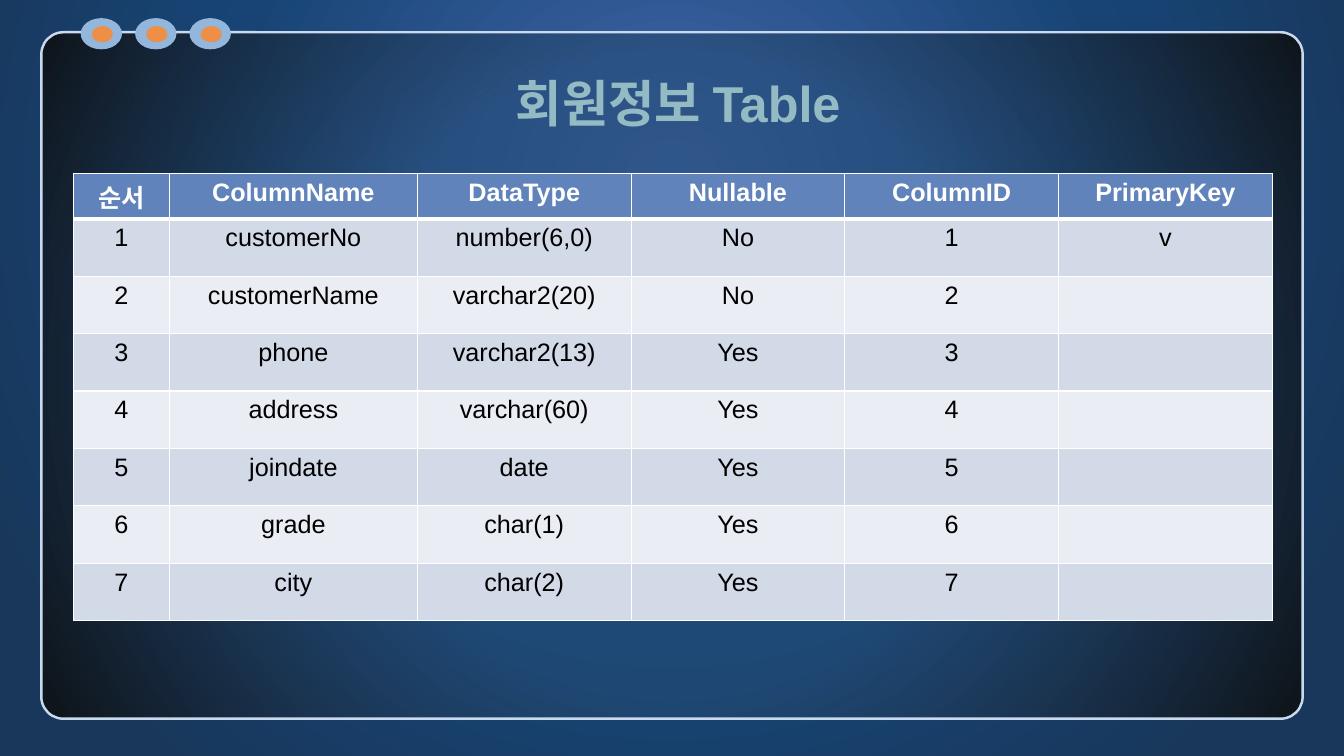
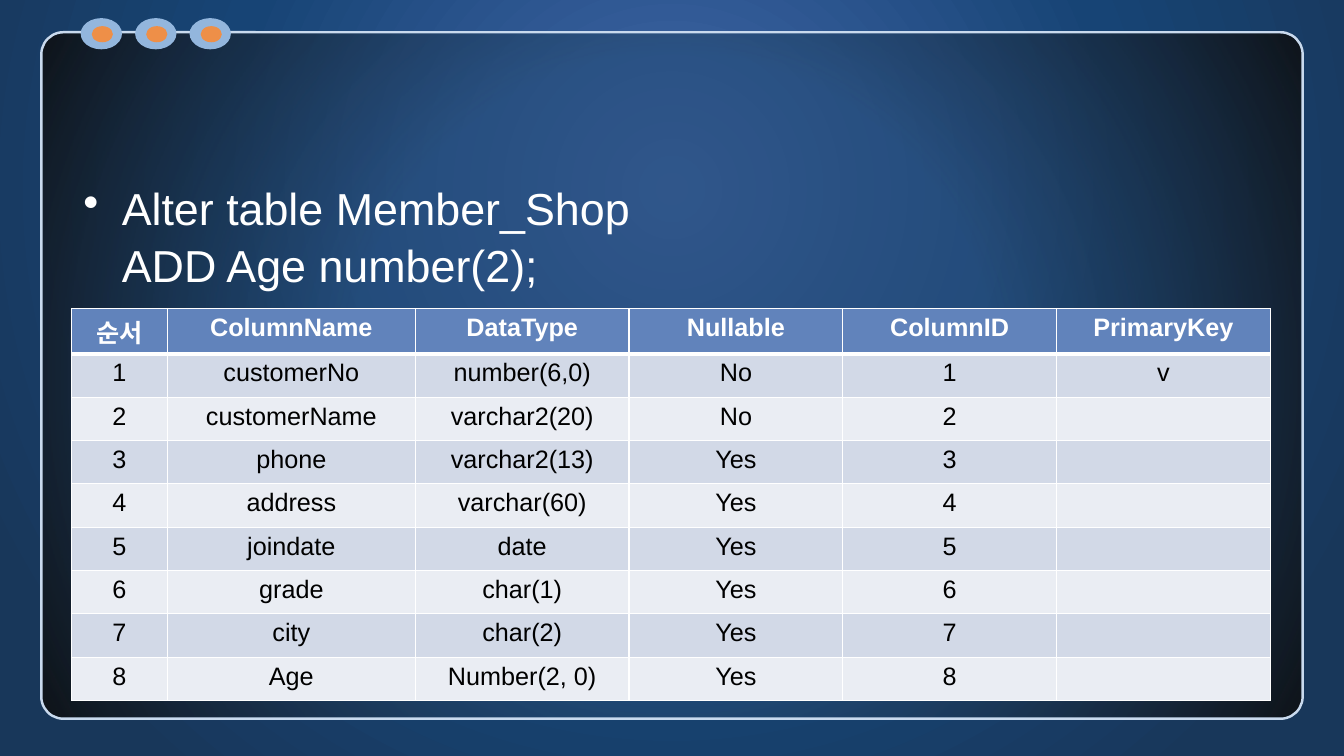
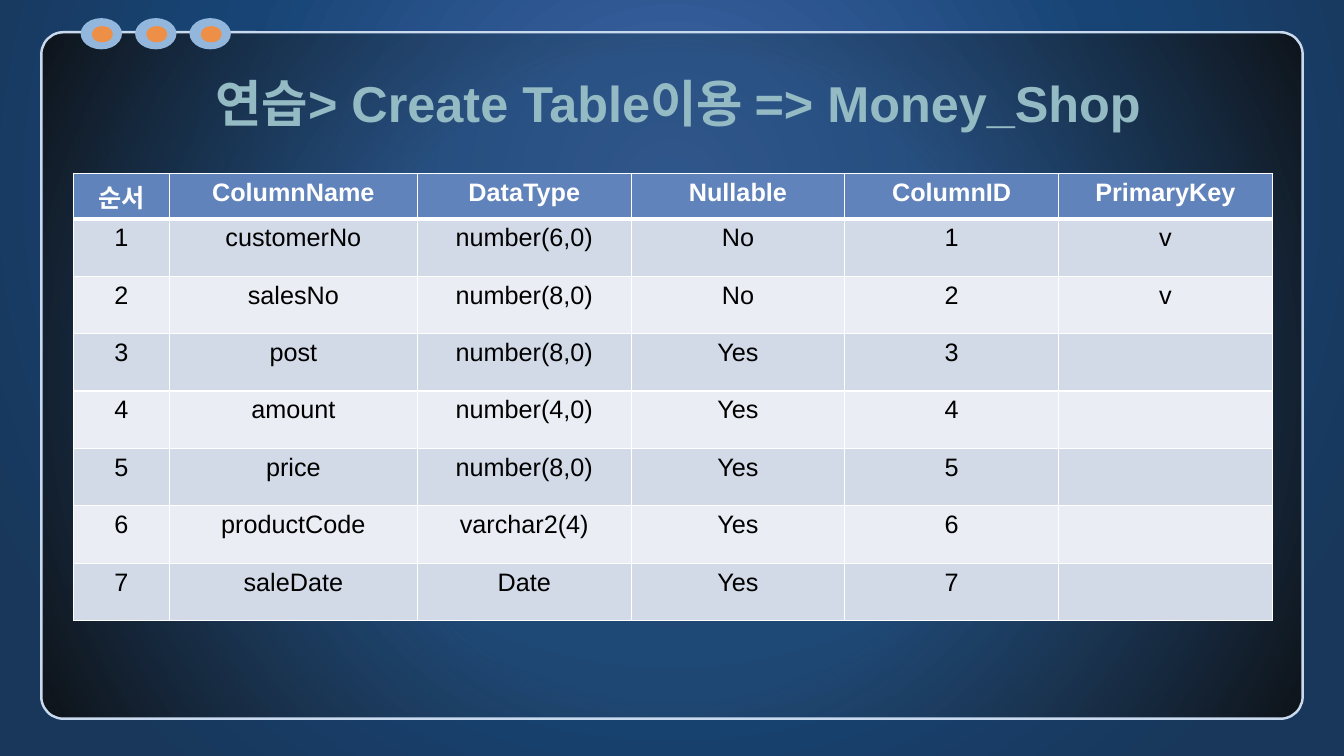
from dataclasses import dataclass

from lxml import etree
from pptx import Presentation
from pptx.dml.color import RGBColor
from pptx.enum import shapes, text
from pptx.oxml import ns
from pptx.util import Inches, Pt


@dataclass(frozen=True)
class Theme:
    font: str = "Arial"
    title_size: int = 36
    body_size: int = 32
    cell_size: int = 18
    title: str = "94BAC3"
    white: str = "FFFFFF"
    black: str = "000000"
    header: str = "6183BB"
    bands: tuple = ("D2D9E7", "EAEDF3")
    frame_line: str = "C9DAEE"
    ring: str = "93B6DD"
    core: str = "EE8F48"
    # Gradient stops: position %, colour, opacity %
    backdrop: tuple = ((0, "4368AB", 100), (59, "174475", 100), (100, "18375A", 100))
    panel: tuple = ((45, "254B75", 60), (100, "0D0D0D", 85))


THEME = Theme()

HEADER = ("순서", "ColumnName", "DataType", "Nullable", "ColumnID", "PrimaryKey")
COL_WIDTHS = (0.95, 2.46, 2.12, 2.12, 2.12, 2.12)
HEADER_HEIGHT = 0.45

# Column name, data type, nullable, primary key mark
MEMBER = [
    ("customerNo", "number(6,0)", "No", "v"),
    ("customerName", "varchar2(20)", "No", ""),
    ("phone", "varchar2(13)", "Yes", ""),
    ("address", "varchar(60)", "Yes", ""),
    ("joindate", "date", "Yes", ""),
    ("grade", "char(1)", "Yes", ""),
    ("city", "char(2)", "Yes", ""),
]
AGE = ("Age", "Number(2, 0)", "Yes", "")
MONEY = [
    ("customerNo", "number(6,0)", "No", "v"),
    ("salesNo", "number(8,0)", "No", "v"),
    ("post", "number(8,0)", "Yes", ""),
    ("amount", "number(4,0)", "Yes", ""),
    ("price", "number(8,0)", "Yes", ""),
    ("productCode", "varchar2(4)", "Yes", ""),
    ("saleDate", "Date", "Yes", ""),
]

SLIDES = [
    dict(title=" 회원정보 Table", rows=MEMBER, at=(0.73, 1.72), row_height=0.57),
    dict(bullet="Alter table Member_Shop\vADD Age number(2);",
         rows=MEMBER + [AGE], at=(0.71, 3.06), row_height=0.43),
    dict(title=" 연습> Create Table이용 => Money_Shop", rows=MONEY,
         at=(0.73, 1.72), row_height=0.57),
]


def rgb(color):
    return RGBColor.from_string(color)


def sub(parent, tag, **attrs):
    """Append a child element to parent."""
    return etree.SubElement(parent, ns.qn(tag), {k: str(v) for k, v in attrs.items()})


def make_radial(solid, stops, focus):
    """Replace a solid fill element by a circular gradient."""
    grad = etree.Element(ns.qn("a:gradFill"), rotWithShape="1")
    stop_list = sub(grad, "a:gsLst")
    for pos, color, opacity in stops:
        clr = sub(sub(stop_list, "a:gs", pos=pos * 1000), "a:srgbClr", val=color)
        if opacity < 100:
            sub(clr, "a:alpha", val=opacity * 1000)
    circle = sub(grad, "a:path", path="circle")
    sub(circle, "a:fillToRect", **{side: v * 1000 for side, v in zip("ltrb", focus)})
    solid.getparent().replace(solid, grad)


def style(p, size, color, bold=False, align=None):
    p.font.name, p.font.size, p.font.bold = THEME.font, Pt(size), bold
    p.font.color.rgb = rgb(color)
    p.alignment = align


def add_shape(s, kind, box, color):
    sp = s.shapes.add_shape(kind, *map(Inches, box))
    sp.shadow.inherit = False
    sp.fill.solid()
    sp.fill.fore_color.rgb = rgb(color)
    sp.line.fill.background()
    return sp


def add_decor(s):
    """Backdrop, rounded panel and the three dots on its upper edge."""
    s.background.fill.solid()
    make_radial(s.element.xpath(".//p:bgPr/a:solidFill")[0],
                THEME.backdrop, (50, 0, 50, 50))

    panel = add_shape(s, shapes.MSO_SHAPE.ROUNDED_RECTANGLE,
                      (0.41, 0.32, 12.51, 6.81), THEME.black)
    panel.adjustments[0] = 0.032
    panel.line.color.rgb = rgb(THEME.frame_line)
    panel.line.width = Pt(1.75)
    make_radial(panel.element.xpath("p:spPr/a:solidFill")[0],
                THEME.panel, (50, 50, 50, 50))

    for i in range(3):
        x = 0.8 + 0.54 * i
        add_shape(s, shapes.MSO_SHAPE.OVAL, (x, 0.18, 0.41, 0.31), THEME.ring)
        add_shape(s, shapes.MSO_SHAPE.OVAL, (x + 0.11, 0.26, 0.21, 0.16), THEME.core)


def add_text(s, box, content):
    tf = s.shapes.add_textbox(*map(Inches, box)).text_frame
    tf.word_wrap = True
    tf.text = content
    return tf


def add_title(s, content):
    tf = add_text(s, (0.73, 0.5, 11.88, 1.04), content)
    tf.vertical_anchor = text.MSO_ANCHOR.MIDDLE
    style(tf.paragraphs[0], THEME.title_size, THEME.title, True, text.PP_ALIGN.CENTER)


def add_bullet(s, content):
    p = add_text(s, (0.73, 1.72, 11.84, 5.28), content).paragraphs[0]
    style(p, THEME.body_size, THEME.white)
    p.line_spacing = 1.05
    p.space_before = Pt(6.4)
    pPr = p._p.get_or_add_pPr()
    pPr.set("marL", str(Inches(0.38)))
    pPr.set("indent", str(-Inches(0.38)))
    bullet = etree.Element(ns.qn("a:buChar"), char="•")
    pPr.find(ns.qn("a:defRPr")).addprevious(bullet)


def add_borders(cell, top, bottom):
    tcPr = cell._tc.get_or_add_tcPr()
    for side, width in (("L", 1), ("R", 1), ("T", top), ("B", bottom)):
        ln = sub(tcPr, f"a:ln{side}", w=Pt(width))
        sub(sub(ln, "a:solidFill"), "a:srgbClr", val=THEME.white)


def add_column_table(s, rows, at, row_height):
    grid = [HEADER] + [(str(n), name, kind, nullable, str(n), key)
                       for n, (name, kind, nullable, key) in enumerate(rows, 1)]
    size = sum(COL_WIDTHS), HEADER_HEIGHT + row_height * len(rows)
    table = s.shapes.add_table(len(grid), len(HEADER), *map(Inches, at + size)).table
    for column, width in zip(table.columns, COL_WIDTHS):
        column.width = Inches(width)
    for r, values in enumerate(grid):
        head = r == 0
        table.rows[r].height = Inches(HEADER_HEIGHT if head else row_height)
        for c, value in enumerate(values):
            cell = table.cell(r, c)
            add_borders(cell, top=3 if r == 1 else 1, bottom=3 if head else 1)
            cell.fill.solid()
            cell.fill.fore_color.rgb = rgb(THEME.header if head
                                           else THEME.bands[(r - 1) % 2])
            cell.text = value
            style(cell.text_frame.paragraphs[0], THEME.cell_size,
                  THEME.white if head else THEME.black, head, text.PP_ALIGN.CENTER)


def main():
    prs = Presentation()
    prs.slide_width, prs.slide_height = Inches(13.33), Inches(7.5)
    for content in SLIDES:
        s = prs.slides.add_slide(prs.slide_layouts[6])
        add_decor(s)
        if "title" in content:
            add_title(s, content["title"])
        if "bullet" in content:
            add_bullet(s, content["bullet"])
        add_column_table(s, content["rows"], content["at"], content["row_height"])
    prs.save("out.pptx")


if __name__ == "__main__":
    main()
